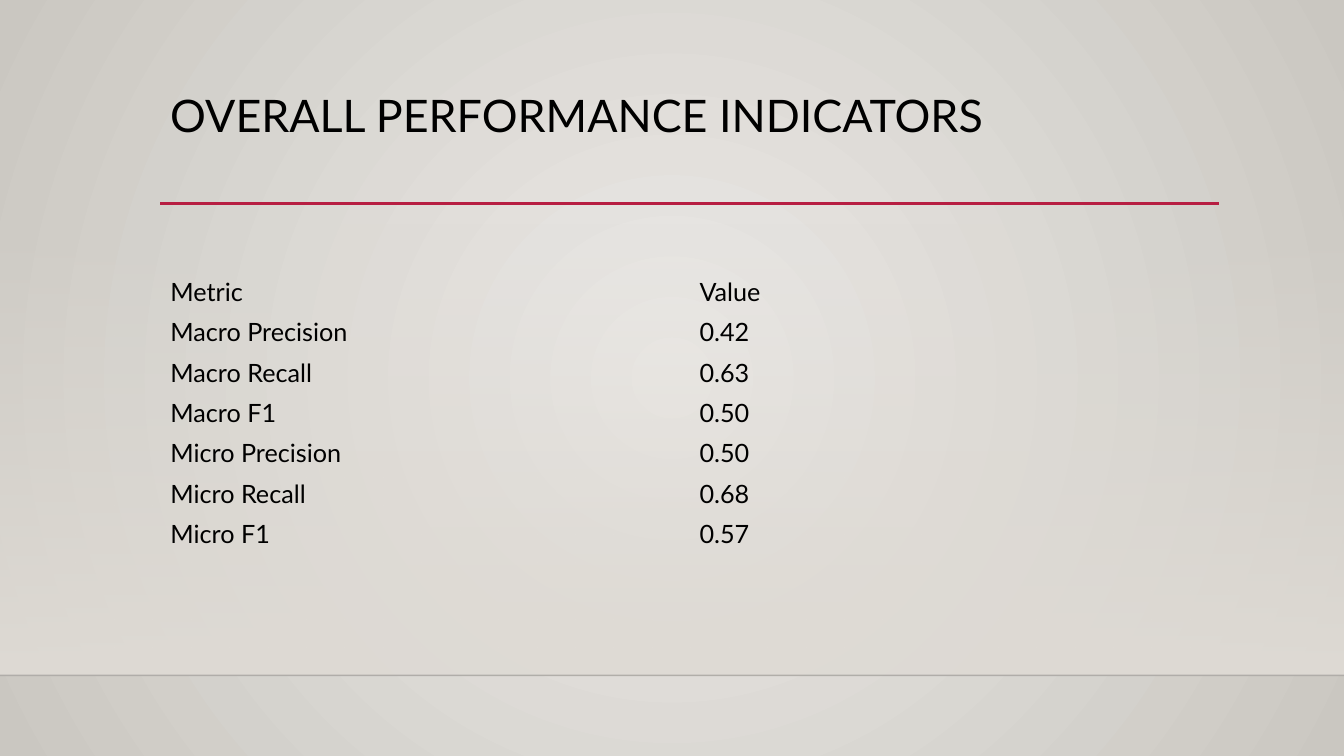
from lxml.etree import SubElement
from pptx import Presentation
from pptx.dml.color import RGBColor
from pptx.enum.shapes import MSO_CONNECTOR as CONNECTOR, MSO_SHAPE as SHAPE
from pptx.enum.text import MSO_ANCHOR as ANCHOR
from pptx.oxml import parse_xml
from pptx.oxml.ns import nsdecls, qn
from pptx.util import Cm, Pt

FONT = "Lato"
INK = "000000"
ACCENT = "B71E42"
SAND = "DFDBD5"
NO_GRID = "{2D5ABB26-0587-4C30-8999-92F81FD0307C}"
WIDTH, HEIGHT = 33.87, 19.05
LEFT, CONTENT_W = 4.04, 26.67
FLOOR = 17.02
ROW_H = 1.02
METRICS = [
    ("Metric", "Value"),
    ("Macro Precision", "0.42"),
    ("Macro Recall", "0.63"),
    ("Macro F1", "0.50"),
    ("Micro Precision", "0.50"),
    ("Micro Recall", "0.68"),
    ("Micro F1", "0.57"),
]
RADIAL = ('<a:path path="circle"><a:fillToRect l="50000" t="50000" '
          'r="50000" b="50000"/></a:path>')
DOWNWARD = '<a:lin ang="5400000" scaled="0"/>'


def color(value):
    """Turn a hex string into a colour."""
    return RGBColor.from_string(value)


def set_gradient(fill, parent, stops, direction):
    """Fill with a gradient of (position, hex, opacity) stops in percent."""
    fill.solid()
    fill.fore_color.rgb = color(stops[0][1])
    items = "".join(
        f'<a:gs pos="{pos * 1000}"><a:srgbClr val="{value}">'
        f'<a:alpha val="{opacity * 1000}"/></a:srgbClr></a:gs>'
        for pos, value, opacity in stops)
    gradient = parse_xml(
        f'<a:gradFill {nsdecls("a")} rotWithShape="1">'
        f'<a:gsLst>{items}</a:gsLst>{direction}</a:gradFill>')
    parent.replace(parent.find(qn("a:solidFill")), gradient)


def add_run(p, text, size):
    """Add one run of text to a paragraph."""
    r = p.add_run()
    r.text = text
    r.font.name = FONT
    r.font.size = Pt(size)
    r.font.color.rgb = color(INK)


def add_rule(s, left, right, y, value, weight, opacity=100):
    """Draw a horizontal line."""
    line = s.shapes.add_connector(CONNECTOR.STRAIGHT, Cm(left), Cm(y), Cm(right), Cm(y))
    line.line.color.rgb = color(value)
    line.line.width = Pt(weight)
    if opacity < 100:
        rgb = line.line.fill.fore_color and line.element.spPr.find(".//" + qn("a:srgbClr"))
        SubElement(rgb, qn("a:alpha")).set("val", str(opacity * 1000))
    SubElement(line.element.spPr, qn("a:effectLst"))


def add_wall(s, top, height):
    """Add the full-width band that fades in above the floor line."""
    sp = s.shapes.add_shape(SHAPE.RECTANGLE, 0, Cm(top), Cm(WIDTH), Cm(height))
    sp.shadow.inherit = False
    sp.line.fill.background()
    set_gradient(sp.fill, sp.element.spPr, [(0, SAND, 0), (100, SAND, 100)], DOWNWARD)


def add_title(s, text, top, height):
    """Add the slide title."""
    sp = s.shapes.add_textbox(Cm(LEFT), Cm(top), Cm(CONTENT_W), Cm(height))
    tf = sp.text_frame
    tf.word_wrap = True
    p = tf.paragraphs[0]
    p.line_spacing = 0.9
    add_run(p, text, 32)


def add_metrics(s, rows, top):
    """Add a plain table without fills or borders."""
    frame = s.shapes.add_table(len(rows), len(rows[0]), Cm(LEFT), Cm(top),
                               Cm(CONTENT_W), Cm(ROW_H * len(rows)))
    table = frame.table
    table.first_row = table.horz_banding = False
    frame.element.find(".//" + qn("a:tableStyleId")).text = NO_GRID
    for i, row in enumerate(rows):
        table.rows[i].height = Cm(ROW_H)
        for j, text in enumerate(row):
            cell = table.cell(i, j)
            cell.fill.background()
            cell.vertical_anchor = ANCHOR.MIDDLE
            add_run(cell.text_frame.paragraphs[0], text, 18)


def main():
    """Build and save the slide."""
    prs = Presentation()
    prs.slide_width, prs.slide_height = Cm(WIDTH), Cm(HEIGHT)
    s = prs.slides.add_slide(prs.slide_layouts[6])
    fill = s.background.fill
    fill.solid()
    set_gradient(fill, s.element.find(".//" + qn("p:bgPr")),
                 [(0, "ECEAE7", 100), (100, "CAC7C1", 100)], RADIAL)
    add_wall(s, 5.61, FLOOR - 5.61)
    add_rule(s, 0, WIDTH, FLOOR, "000001", 1, 20)
    add_rule(s, LEFT, 30.73, 5.13, ACCENT, 2.5)
    add_title(s, "OVERALL PERFORMANCE INDICATORS", 2.24, 2.92)
    add_metrics(s, METRICS, 6.83)
    prs.save("out.pptx")


if __name__ == "__main__":
    main()
